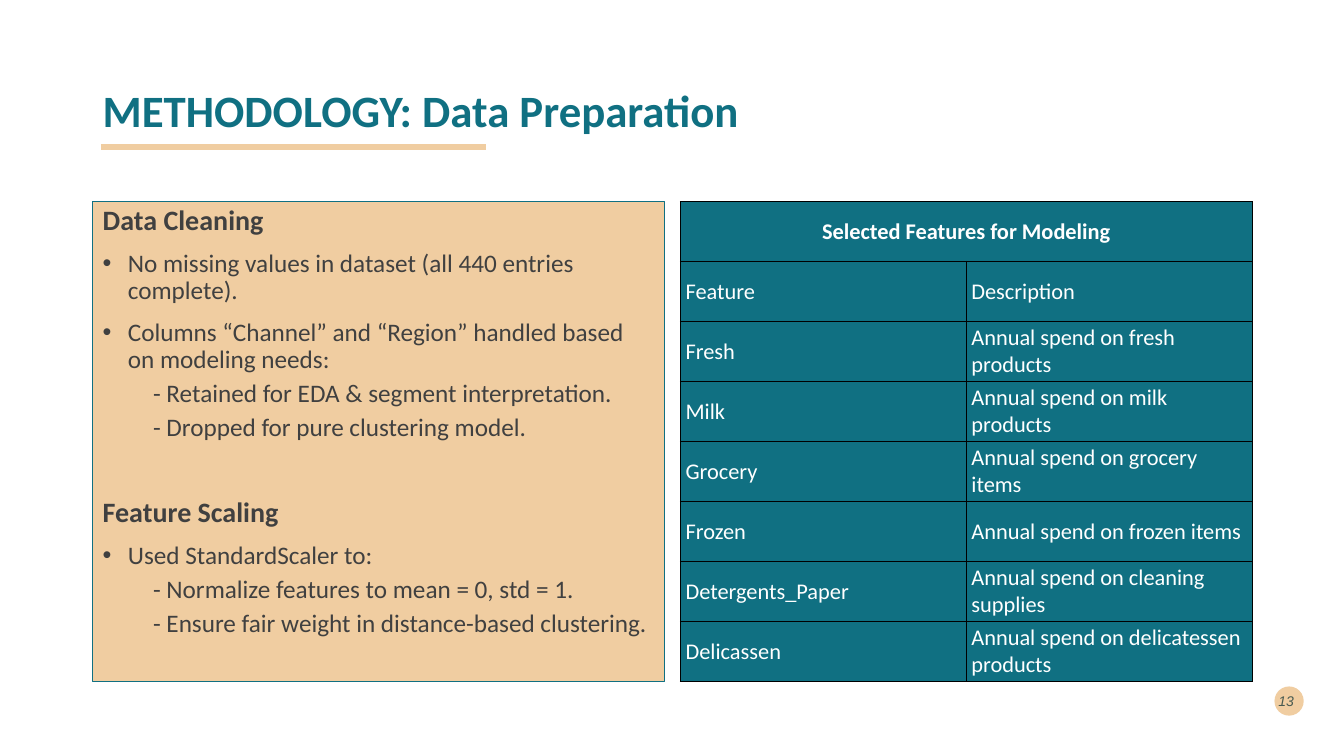
from lxml import etree
from pptx import Presentation
from pptx.dml.color import RGBColor
from pptx.enum.shapes import MSO_CONNECTOR, MSO_SHAPE
from pptx.enum.text import MSO_ANCHOR, PP_ALIGN
from pptx.oxml.ns import qn
from pptx.util import Inches, Pt

LEFT, CENTER, RIGHT = PP_ALIGN.LEFT, PP_ALIGN.CENTER, PP_ALIGN.RIGHT
TOP, MIDDLE = MSO_ANCHOR.TOP, MSO_ANCHOR.MIDDLE

# Content
TITLE = "METHODOLOGY: Data Preparation"
PAGE = "13"
PREPARATION = [
    ("heading", "Data Cleaning"),
    ("bullet", "No missing values in dataset (all 440 entries complete)."),
    ("bullet", "Columns “Channel” and “Region” handled based on modeling needs:"),
    ("detail", "- Retained for EDA & segment interpretation."),
    ("detail", "- Dropped for pure clustering model."),
    ("heading", "Feature Scaling"),
    ("bullet", "Used StandardScaler to:"),
    ("detail", "- Normalize features to mean = 0, std = 1."),
    ("detail", "- Ensure fair weight in distance-based clustering."),
]
FEATURES_HEADING = "Selected Features for Modeling"
FEATURES = [
    ("Feature", "Description"),
    ("Fresh", "Annual spend on fresh products"),
    ("Milk", "Annual spend on milk products"),
    ("Grocery", "Annual spend on grocery items"),
    ("Frozen", "Annual spend on frozen items"),
    ("Detergents_Paper", "Annual spend on cleaning supplies"),
    ("Delicassen", "Annual spend on delicatessen products"),
]

# Look
COLORS = {"teal": "107082", "sand": "F0CDA1", "text": "404040",
          "page": "00292E", "white": "FFFFFF", "border": "000000"}
STYLES = {
    "heading": dict(size=20, bold=True, before=40),
    "bullet": dict(size=18, before=10, margin=0.25, indent=-0.25, bullet="•"),
    "detail": dict(size=18, before=5, margin=0.5),
}

# Layout: two equal panels inside the title width
SLIDE_W, SLIDE_H = 13.33, 7.5
MARGIN, CONTENT_W = 0.92, 11.5
PANEL_W, PANEL_H, PANEL_TOP = 5.67, 4.76, 2
TABLE_LEFT = MARGIN + CONTENT_W - PANEL_W


def rgb(name):
    return RGBColor.from_string(COLORS[name])


def write(frame, text, size=16, color="text", bold=False, italic=False,
          font="Calibri", align=LEFT, anchor=TOP, spacing=1.0, before=0,
          margin=0, indent=0, bullet=None, alpha=None):
    """Fill the empty first paragraph of a frame, or add one after it."""
    frame.word_wrap = True
    frame.vertical_anchor = anchor
    first = not frame.text
    paragraph = frame.paragraphs[0] if first else frame.add_paragraph()
    paragraph.alignment = align
    paragraph.line_spacing = spacing
    paragraph.space_before = Pt(0 if first else before)
    properties = paragraph._p.get_or_add_pPr()
    properties.set("marL", str(Inches(margin)))
    properties.set("indent", str(Inches(indent)))
    if bullet:
        etree.SubElement(properties, qn("a:buFont"), typeface="Arial")
        etree.SubElement(properties, qn("a:buChar"), char=bullet)
    run = paragraph.add_run()
    run.text = text
    run.font.name, run.font.size = font, Pt(size)
    run.font.bold, run.font.italic = bold, italic
    run.font.color.rgb = rgb(color)
    if alpha:
        tint = run._r.find(".//" + qn("a:srgbClr"))
        etree.SubElement(tint, qn("a:alpha"), val=str(alpha * 1000))


def add_panel(slide, kind, left, top, width, height, line=None):
    panel = slide.shapes.add_shape(
        kind, Inches(left), Inches(top), Inches(width), Inches(height))
    panel.shadow.inherit = False
    panel.fill.solid()
    panel.fill.fore_color.rgb = rgb("sand")
    if line:
        panel.line.color.rgb = rgb(line)
        panel.line.width = Pt(0.75)
    else:
        panel.line.fill.background()
    return panel


def add_text_box(slide, left, top, width, height):
    return slide.shapes.add_textbox(
        Inches(left), Inches(top), Inches(width), Inches(height)).text_frame


def style_cell(cell):
    cell.margin_left = cell.margin_right = Inches(0.05)
    cell.margin_top = cell.margin_bottom = Inches(0.02)
    cell.vertical_anchor = MIDDLE
    cell.fill.solid()
    cell.fill.fore_color.rgb = rgb("teal")
    properties = cell._tc.get_or_add_tcPr()
    for position, side in enumerate(("lnL", "lnR", "lnT", "lnB")):
        border = etree.Element(qn("a:" + side), w=str(Pt(1)))
        fill = etree.SubElement(border, qn("a:solidFill"))
        etree.SubElement(fill, qn("a:srgbClr"), val=COLORS["border"])
        properties.insert(position, border)


def add_features_table(slide):
    row_count, column_count = len(FEATURES) + 1, len(FEATURES[0])
    table_frame = slide.shapes.add_table(
        row_count, column_count, Inches(TABLE_LEFT), Inches(PANEL_TOP),
        Inches(PANEL_W), Inches(PANEL_H))
    table = table_frame.table
    table.first_row = table.horz_banding = False
    for cell in table.iter_cells():
        style_cell(cell)
    heading = table.cell(0, 0)
    heading.merge(table.cell(0, column_count - 1))
    write(heading.text_frame, FEATURES_HEADING, color="white", bold=True,
          align=CENTER, anchor=MIDDLE)
    for row, values in enumerate(FEATURES, start=1):
        for column, value in enumerate(values):
            write(table.cell(row, column).text_frame, value, color="white",
                  anchor=MIDDLE)


def main():
    deck = Presentation()
    deck.slide_width, deck.slide_height = Inches(SLIDE_W), Inches(SLIDE_H)
    slide = deck.slides.add_slide(deck.slide_layouts[6])

    # Page number
    add_panel(slide, MSO_SHAPE.OVAL, 12.64, 6.81, 0.29, 0.29)
    write(add_text_box(slide, 12.54, 6.75, 0.39, 0.4), PAGE, size=10,
          color="page", italic=True, font="Arial", align=RIGHT,
          anchor=MIDDLE, alpha=70)

    # Title
    write(add_text_box(slide, MARGIN, 0.4, CONTENT_W, 1.45), TITLE, size=32,
          color="teal", bold=True, anchor=MIDDLE, spacing=0.9)

    # Preparation steps
    steps = add_panel(slide, MSO_SHAPE.RECTANGLE, MARGIN, PANEL_TOP,
                      PANEL_W, PANEL_H, line="teal")
    for style, text in PREPARATION:
        write(steps.text_frame, text, spacing=0.9, **STYLES[style])

    # Selected features
    add_features_table(slide)

    # Title underline
    underline = slide.shapes.add_connector(
        MSO_CONNECTOR.STRAIGHT, Inches(1), Inches(1.46),
        Inches(4.82), Inches(1.46))
    underline.line.color.rgb = rgb("sand")
    underline.line.width = Pt(4.32)
    etree.SubElement(underline._element.spPr, qn("a:effectLst"))

    deck.save("out.pptx")


if __name__ == "__main__":
    main()
